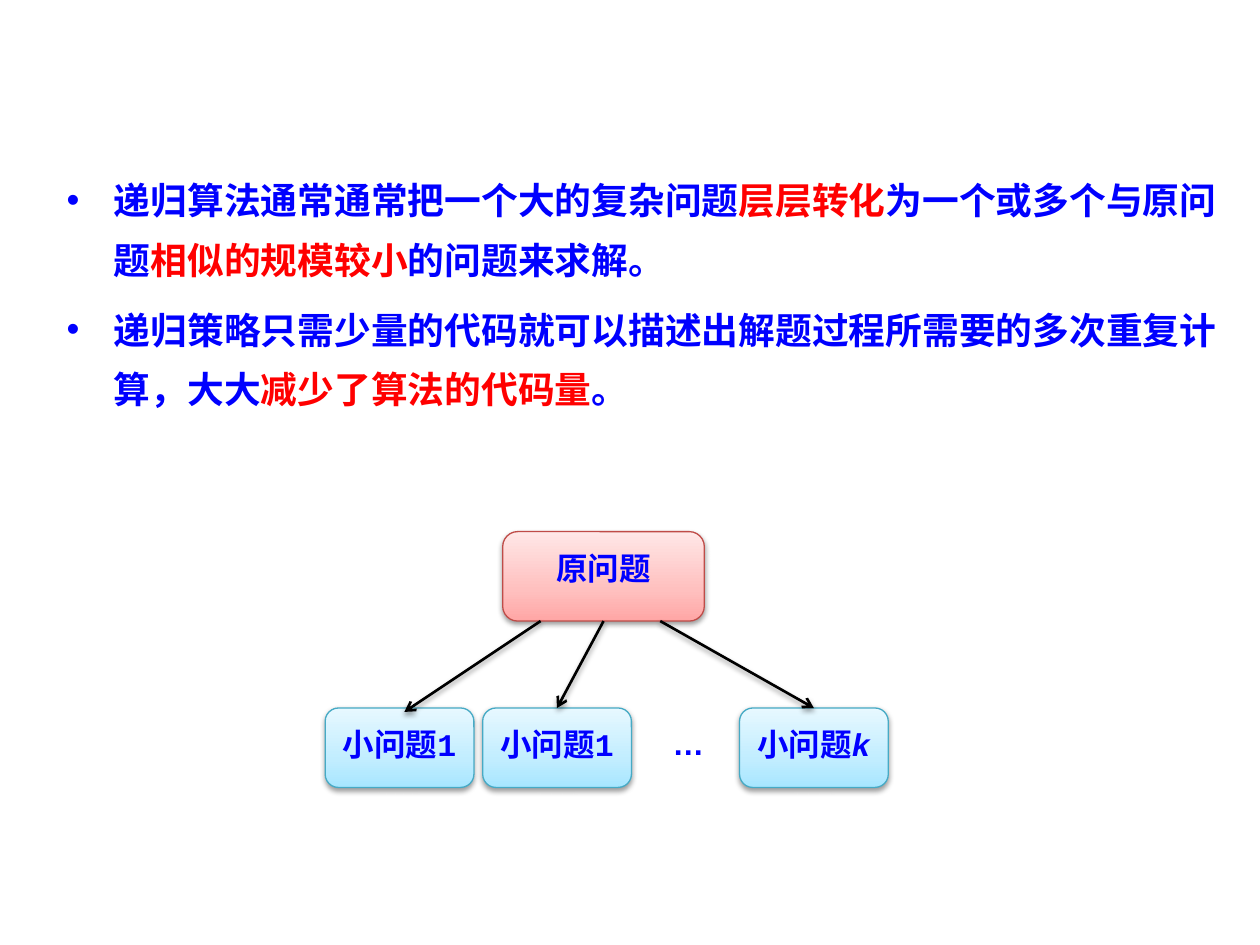
"""Builds a slide on how recursion splits a problem into smaller ones."""
from lxml import etree
from pptx import Presentation
from pptx.dml.color import RGBColor
from pptx.enum.shapes import MSO_CONNECTOR, MSO_SHAPE
from pptx.enum.text import MSO_ANCHOR, MSO_AUTO_SIZE, PP_ALIGN
from pptx.oxml.ns import qn
from pptx.util import Pt

LINE = MSO_CONNECTOR.STRAIGHT
ROUND = MSO_SHAPE.ROUNDED_RECTANGLE
TOP = MSO_ANCHOR.TOP
GROW = MSO_AUTO_SIZE.SHAPE_TO_FIT_TEXT
MID = PP_ALIGN.CENTER

HUES = {"blue": "0000FF", "red": "FF0000", "black": "000000",
        "rose": "BF4C48", "teal": "46AAC5"}
FADES = {"rose": ("FFA6A5", "FFC0BF", "FFE7E7"),
         "teal": ("A7E6FF", "C1EDFF", "E7F8FF")}
STOPS = (0, 35, 100)


def rgb(name):
    return RGBColor.from_string(HUES[name])


def add(node, tag, **attrs):
    return etree.SubElement(node, qn(tag), {k: str(v) for k, v in attrs.items()})


class Deck:
    def __init__(self, font="Courier New"):
        self.font = font
        self.prs = Presentation()
        self.prs.slide_width, self.prs.slide_height = Pt(720), Pt(540)
        self.slide = self.prs.slides.add_slide(self.prs.slide_layouts[6])

    def style(self, run, size, hue="blue", font=None):
        run.font.name = font or self.font
        run.font.size = Pt(size)
        run.font.bold = True
        run.font.color.rgb = rgb(hue)

    def shade(self, shape):
        glow = add(add(shape.element.spPr, "a:effectLst"), "a:outerShdw",
                   blurRad=Pt(3.1), dist=Pt(1.6), dir=5400000, rotWithShape=0)
        add(add(glow, "a:srgbClr", val=HUES["black"]), "a:alpha", val=38000)

    def text(self, x, y, w, h):
        box = self.slide.shapes.add_textbox(Pt(x), Pt(y), Pt(w), Pt(h))
        box.text_frame.auto_size = GROW
        return box.text_frame

    def points(self, x, y, w, h, items):
        frame = self.text(x, y, w, h)
        frame.word_wrap = True
        for i, item in enumerate(items):
            para = frame.add_paragraph() if i else frame.paragraphs[0]
            para.line_spacing, para.space_before = Pt(34), Pt(6)
            prop = para._p.get_or_add_pPr()
            prop.set("marL", str(Pt(27)))
            prop.set("indent", str(Pt(-27)))
            add(prop, "a:buFont", typeface="Arial")
            add(prop, "a:buChar", char="•")
            for part, hue in item:
                run = para.add_run()
                run.text = part
                self.style(run, 21, hue)

    def label(self, x, y, w, h, words):
        para = self.text(x, y, w, h).paragraphs[0]
        para.text = words
        self.style(para.runs[0], 18, font="Arial")

    def node(self, x, y, w, h, hue, words, tail=""):
        box = self.slide.shapes.add_shape(ROUND, Pt(x), Pt(y), Pt(w), Pt(h))
        box.fill.gradient()
        box.fill.gradient_angle = 90
        stops = box.element.spPr.find(".//" + qn("a:gsLst"))
        stops.clear()
        for pos, tint in zip(STOPS, FADES[hue]):
            add(add(stops, "a:gs", pos=pos * 1000), "a:srgbClr", val=tint)
        box.line.color.rgb = rgb(hue)
        box.line.width = Pt(0.75)
        self.shade(box)
        frame = box.text_frame
        frame.word_wrap = True
        frame.vertical_anchor = TOP
        frame.margin_top = Pt(11.5)
        para = frame.paragraphs[0]
        para.text = words
        para.alignment = MID
        para.line_spacing, para.space_before = 0.8, Pt(9)
        if tail:
            last = para.add_run()
            last.text = tail
            last.font.italic = True
        for run in para.runs:
            self.style(run, 18)
        return box

    def arrow(self, x1, y1, x2, y2, start=None, end=None):
        line = self.slide.shapes.add_connector(LINE, Pt(x1), Pt(y1), Pt(x2), Pt(y2))
        if start:
            line.begin_connect(start, 2)
        if end:
            line.end_connect(end, 0)
        line.line.color.rgb = rgb("black")
        line.line.width = Pt(1.5)
        add(line.element.spPr.find(qn("a:ln")), "a:tailEnd", type="arrow")
        self.shade(line)


def main():
    deck = Deck()
    deck.points(31, 89.3, 676.8, 146.9, [
        [("递归算法通常通常把一个大的复杂问题", "blue"), ("层层转化", "red"),
         ("为一个或多个与原问题", "blue"), ("相似的规模较小", "red"),
         ("的问题来求解。", "blue")],
        [("递归策略只需少量的代码就可以描述出解题过程所需要的多次重复计算，大大", "blue"),
         ("减少了算法的代码量", "red"), ("。", "blue")]])
    root = deck.node(287.3, 303.8, 115.2, 51.1, "rose", "原问题")
    kids = [deck.node(x, 404.6, 85, 45.4, "teal", words, tail)
            for x, words, tail in ((185.8, "小问题1", ""), (275.8, "小问题1", ""),
                                   (422.6, "小问题", "k"))]
    deck.label(377.3, 410.4, 30.2, 28.8, "…")
    deck.arrow(308.9, 354.9, 231.1, 406.8)
    deck.arrow(344.9, 354.9, 318.3, 404.6, root, kids[1])
    deck.arrow(377.3, 354.9, 465.1, 404.6, end=kids[2])
    deck.prs.save("out.pptx")


if __name__ == "__main__":
    main()
